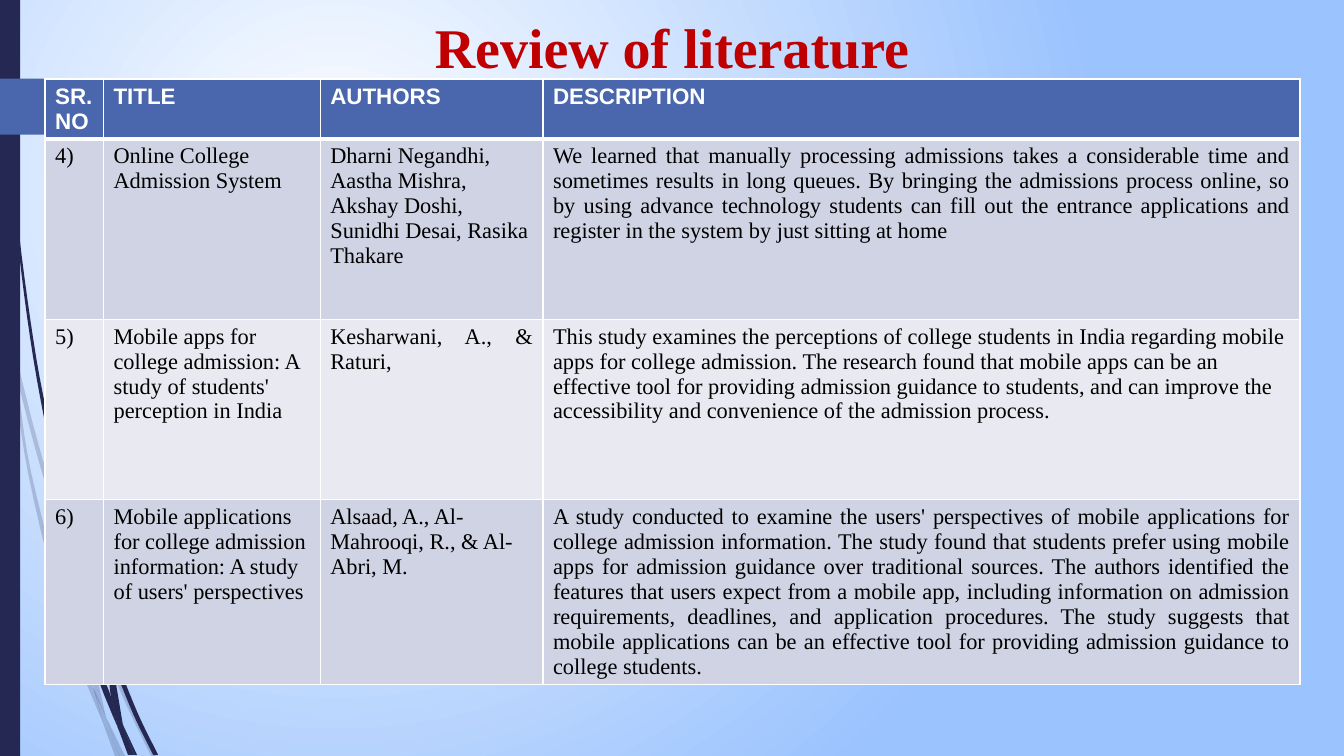
from dataclasses import dataclass

from lxml import etree
from pptx import Presentation
from pptx.dml.color import RGBColor
from pptx.enum import shapes, text
from pptx.oxml import ns
from pptx.util import Length, Pt

NAVY = RGBColor(0x24, 0x28, 0x52)
BLUE = RGBColor(0x4A, 0x66, 0xAC)
SKY = RGBColor(0x9B, 0xC3, 0xFE)
WHITE = RGBColor(0xFF, 0xFF, 0xFF)
BLACK = RGBColor(0, 0, 0)
RED = RGBColor(0xC0, 0, 0)
BAND_DARK = RGBColor(0xD0, 0xD3, 0xE3)
BAND_LIGHT = RGBColor(0xE9, 0xEA, 0xF1)

SERIF = "Times New Roman"
LEFT, JUSTIFY = text.PP_ALIGN.LEFT, text.PP_ALIGN.JUSTIFY
GRID = 0.72  # points per unit of the strand coordinates
CURVE_STEPS = 6

Points = list[tuple[float, float]]


@dataclass
class Strand:
    """A thin blade of grass between two curved edges, in grid units."""
    out: Points
    back: Points


@dataclass
class Study:
    number: str
    title: str
    authors: str
    description: str
    authors_align: text.PP_ALIGN = LEFT
    description_align: text.PP_ALIGN = JUSTIFY


PALE_STRANDS = [
    Strand([(0, 282), (9, 322), (11, 350)], [(10, 344), (0, 299)]),
    Strand([(14, 345), (36, 433), (62, 520), (85, 586)],
           [(84, 599), (58, 522), (36, 449), (17, 376)]),
    Strand([(88, 596), (92, 607), (127, 692), (155, 750)],
           [(150, 750), (123, 694), (88, 610)]),
    Strand([(105, 711), (124, 750)], [(119, 750)]),
    Strand([(11, 350), (17, 376), (31, 469), (70, 619), (93, 683), (101, 714)],
           [(92, 693), (65, 621), (28, 470), (11, 350)]),
    Strand([(84, 599), (88, 608), (91, 646), (105, 711)],
           [(96, 692), (93, 683), (87, 646), (84, 599)]),
    Strand([(312, 153), (268, 197), (228, 244), (158, 348), (107, 461), (85, 584), (88, 596)],
           [(88, 584), (110, 462), (160, 349), (229, 245), (268, 198), (312, 154)]),
    Strand([(101, 714), (119, 750)], [(114, 750)]),
    Strand([(85, 586), (88, 596), (88, 610)], [(84, 599)]),
    Strand([(93, 683), (105, 711), (119, 750)], [(101, 714)]),
]
DARK_STRANDS = [
    Strand([(4, 0), (5, 48), (8, 109), (19, 232), (36, 355), (55, 453), (57, 481)],
           [(56, 477), (33, 355), (17, 233), (7, 110), (4, 48), (3, 0)]),
    Strand([(60, 472), (93, 590), (106, 631), (106, 645)], [(88, 592), (64, 505)]),
    Strand([(110, 641), (136, 706), (157, 749)], [(152, 749), (132, 708), (111, 656)]),
    Strand([(57, 477), (64, 505), (72, 556), (98, 657), (110, 691), (117, 722)],
           [(111, 708), (93, 659), (68, 557), (57, 477)]),
    Strand([(70, 141), (63, 193), (58, 245), (54, 349), (58, 453), (60, 472)],
           [(55, 449), (52, 349), (56, 245), (62, 193)]),
    Strand([(122, 719), (136, 749)], [(133, 749)]),
    Strand([(55, 449), (60, 472), (64, 505)], [(57, 477)]),
    Strand([(260, 344), (231, 373), (204, 405), (156, 474), (122, 551), (106, 631), (110, 641)],
           [(111, 633), (125, 552), (158, 476), (205, 406), (231, 374), (261, 344)]),
    Strand([(117, 722), (131, 749)], [(127, 749)]),
    Strand([(106, 645), (111, 656), (122, 719)], [(116, 706), (110, 691), (106, 645)]),
    Strand([(106, 631), (110, 641), (111, 656)], [(106, 645)]),
    Strand([(110, 691), (122, 719), (133, 749)], [(130, 749), (117, 722)]),
]

HEADINGS = ["SR.NO", "TITLE", "AUTHORS", "DESCRIPTION"]
STUDIES = [
    Study("4)", "Online College Admission System",
          "Dharni Negandhi, Aastha Mishra, Akshay Doshi, Sunidhi Desai, Rasika Thakare",
          "We learned that manually processing admissions takes a considerable time and sometimes "
          "results in long queues. By bringing the admissions process online, so by using advance "
          "technology students can fill out the entrance applications and register in the system "
          "by just sitting at home"),
    Study("5)", "Mobile apps for college admission: A study of students' perception in India",
          "Kesharwani, A., & Raturi,",
          "This study examines the perceptions of college students in India regarding mobile apps "
          "for college admission. The research found that mobile apps can be an effective tool for "
          "providing admission guidance to students, and can improve the accessibility and "
          "convenience of the admission process.", JUSTIFY, LEFT),
    Study("6)", "Mobile applications for college admission information: A study of users' perspectives",
          "Alsaad, A., Al-Mahrooqi, R., & Al-Abri, M.",
          "A study conducted to examine the users' perspectives of mobile applications for college "
          "admission information. The study found that students prefer using mobile apps for "
          "admission guidance over traditional sources. The authors identified the features that "
          "users expect from a mobile app, including information on admission requirements, "
          "deadlines, and application procedures. The study suggests that mobile applications can "
          "be an effective tool for providing admission guidance to college students."),
]
COLUMN_WIDTHS = [41.76, 154.8, 159.12, 540.72]
ROW_HEIGHTS = [35.28, 128.88, 128.88, 131.76]


def smooth(points: Points) -> list[tuple[Length, Length]]:
    """Sample a Catmull-Rom curve through the points."""
    padded = [points[0], *points, points[-1]]
    curve = []
    for a, b, c, d in zip(padded, padded[1:], padded[2:], padded[3:]):
        for step in range(CURVE_STEPS):
            t = step / CURVE_STEPS
            x, y = (q + t * (r - p) / 2 + t**2 * (2 * p - 5 * q + 4 * r - s) / 2
                    + t**3 * (3 * q - p - 3 * r + s) / 2
                    for p, q, r, s in zip(a, b, c, d))
            curve.append((Pt(x * GRID), Pt(y * GRID)))
    x, y = points[-1]
    return [*curve, (Pt(x * GRID), Pt(y * GRID))]


def paint(shape, color: RGBColor, opacity: int = 100) -> None:
    shape.shadow.inherit = False
    shape.line.fill.background()
    shape.fill.solid()
    shape.fill.fore_color.rgb = color
    if opacity < 100:
        rgb = next(shape.element.spPr.iter(ns.qn("a:srgbClr")))
        etree.SubElement(rgb, ns.qn("a:alpha"), val=str(opacity * 1000))


def draw_strand(slide, strand: Strand, opacity: int) -> None:
    outline = smooth(strand.out) + smooth(strand.back)
    builder = slide.shapes.build_freeform(*outline[0])
    builder.add_line_segments(outline[1:], close=True)
    paint(builder.convert_to_shape(), NAVY, opacity)


def draw_block(slide, kind, top: float, width: float, height: float, color: RGBColor) -> None:
    paint(slide.shapes.add_shape(kind, Pt(0), Pt(top), Pt(width), Pt(height)), color)


def set_background(slide) -> None:
    fill = slide.background.fill
    fill.gradient()
    for stop, color in zip(fill.gradient_stops, (WHITE, SKY)):
        stop.color.rgb = color
    gradient = next(slide.element.iter(ns.qn("a:gradFill")))
    gradient.remove(gradient.find(ns.qn("a:lin")))
    circle = etree.SubElement(gradient, ns.qn("a:path"), path="circle")
    etree.SubElement(circle, ns.qn("a:fillToRect"), l="50000", t="50000", r="100000", b="100000")


def set_borders(cell, top: float, bottom: float) -> None:
    properties = cell._tc.get_or_add_tcPr()
    for index, (side, width) in enumerate({"L": 1, "R": 1, "T": top, "B": bottom}.items()):
        line = etree.Element(ns.qn(f"a:ln{side}"), w=str(Pt(width)))
        solid = etree.SubElement(line, ns.qn("a:solidFill"))
        etree.SubElement(solid, ns.qn("a:srgbClr"), val=str(WHITE))
        properties.insert(index, line)


def fill_row(table, row: int, texts: list[str], aligns: list, fill: RGBColor) -> None:
    header = row == 0
    for cell, words, align in zip(table.rows[row].cells, texts, aligns):
        cell.text = words
        cell.fill.solid()
        cell.fill.fore_color.rgb = fill
        set_borders(cell, top=3 if row == 1 else 1, bottom=3 if header else 1)
        paragraph = cell.text_frame.paragraphs[0]
        paragraph.alignment = align
        font = paragraph.font
        font.size, font.bold = Pt(16), header
        font.name = "Arial" if header else SERIF
        font.color.rgb = WHITE if header else BLACK


def add_literature_table(slide):
    frame = slide.shapes.add_table(len(ROW_HEIGHTS), len(COLUMN_WIDTHS), Pt(32.2), Pt(56.4),
                                   Pt(sum(COLUMN_WIDTHS)), Pt(sum(ROW_HEIGHTS)))
    table = frame.table
    for column, width in zip(table.columns, COLUMN_WIDTHS):
        column.width = Pt(width)
    for row, height in zip(table.rows, ROW_HEIGHTS):
        row.height = Pt(height)
    fill_row(table, 0, HEADINGS, [JUSTIFY] * 4, BLUE)
    for row, study in enumerate(STUDIES, start=1):
        fill_row(table, row, [study.number, study.title, study.authors, study.description],
                 [JUSTIFY, LEFT, study.authors_align, study.description_align],
                 BAND_DARK if row % 2 else BAND_LIGHT)
    return frame


def format_title(title) -> None:
    title.left, title.top, title.width, title.height = Pt(90), Pt(0), Pt(780), Pt(73.5)
    frame = title.text_frame
    frame.text = "Review of literature"
    frame.vertical_anchor = text.MSO_ANCHOR.TOP
    frame.margin_top = Pt(9)
    paragraph = frame.paragraphs[0]
    paragraph.alignment = text.PP_ALIGN.CENTER
    font = paragraph.font
    font.name, font.size, font.bold = SERIF, Pt(40), True
    font.color.rgb = RED


def main() -> None:
    presentation = Presentation()
    presentation.slide_width, presentation.slide_height = Pt(960), Pt(540)
    slide = presentation.slides.add_slide(presentation.slide_layouts[5])
    set_background(slide)

    # Grass, side bar and arrow
    for strands, opacity in ((PALE_STRANDS, 20), (DARK_STRANDS, 100)):
        for strand in strands:
            draw_strand(slide, strand, opacity)
    draw_block(slide, shapes.MSO_SHAPE.RECTANGLE, 0, 14.4, 540, NAVY)
    draw_block(slide, shapes.MSO_SHAPE.PENTAGON, 56.25, 125, 40, BLUE)

    # Title and table, in front of the decoration
    table_frame = add_literature_table(slide)
    format_title(slide.shapes.title)
    table_frame.element.addprevious(slide.shapes.title.element)

    presentation.save("out.pptx")


if __name__ == "__main__":
    main()
